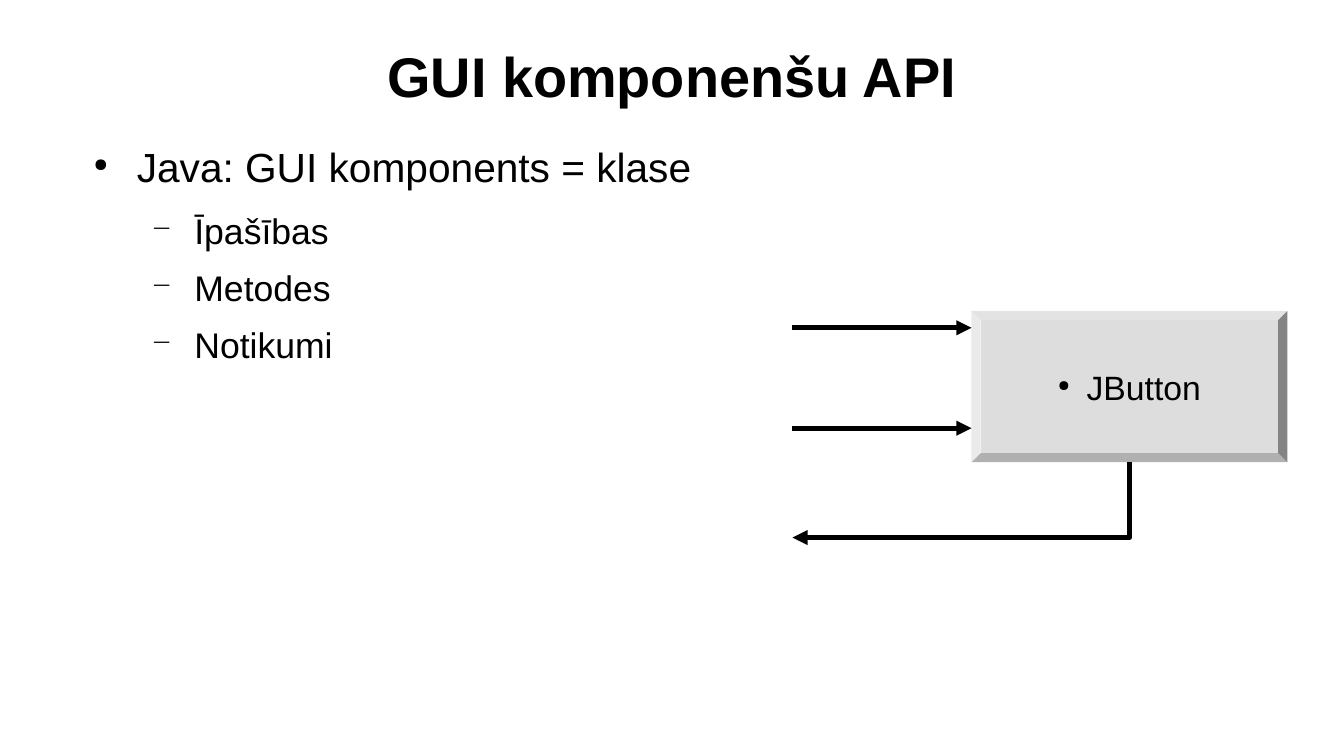
from dataclasses import dataclass

from lxml import etree
from pptx import Presentation
from pptx.dml.color import RGBColor
from pptx.enum.shapes import MSO_CONNECTOR, MSO_SHAPE
from pptx.enum.text import MSO_ANCHOR, PP_ALIGN
from pptx.oxml.ns import qn
from pptx.util import Cm, Pt

BEVEL = MSO_SHAPE.BEVEL
STRAIGHT = MSO_CONNECTOR.STRAIGHT
MIDDLE = MSO_ANCHOR.MIDDLE
CENTER = PP_ALIGN.CENTER


@dataclass(frozen=True)
class Theme:
    font: str = "Arial"
    ink: RGBColor = RGBColor(0, 0, 0)
    button: RGBColor = RGBColor(0xDD, 0xDD, 0xDD)
    title_size: float = 33
    topic_size: float = 24
    detail_size: float = 21
    button_size: float = 19.9
    line_width: float = 3


@dataclass(frozen=True)
class Box:
    left: float
    top: float
    width: float
    height: float

    def lengths(self):
        return Cm(self.left), Cm(self.top), Cm(self.width), Cm(self.height)


THEME = Theme()


def format_runs(paragraph, size, bold=False):
    for run in paragraph.runs:
        run.font.name = THEME.font
        run.font.size = Pt(size)
        run.font.bold = bold
        run.font.color.rgb = THEME.ink


def add_bullet(paragraph, character, percent, margin, hanging):
    properties = paragraph._p.get_or_add_pPr()
    properties.set("marL", str(Cm(margin)))
    properties.set("indent", str(-Cm(hanging)))
    color = etree.SubElement(properties, qn("a:buClr"))
    etree.SubElement(color, qn("a:srgbClr"), val=str(THEME.ink))
    etree.SubElement(properties, qn("a:buSzPct"), val=str(percent * 1000))
    etree.SubElement(properties, qn("a:buChar"), char=character)


def style_arrow(shape):
    shape.line.color.rgb = THEME.ink
    shape.line.width = Pt(THEME.line_width)
    etree.SubElement(shape.line._get_or_add_ln(), qn("a:tailEnd"), type="triangle")


def add_title(slide, box, text):
    text_frame = slide.shapes.add_textbox(*box.lengths()).text_frame
    text_frame.word_wrap = True
    text_frame.vertical_anchor = MIDDLE
    text_frame.text = text
    paragraph = text_frame.paragraphs[0]
    paragraph.alignment = CENTER
    format_runs(paragraph, THEME.title_size, bold=True)


def add_outline(slide, box, topic, details):
    text_frame = slide.shapes.add_textbox(*box.lengths()).text_frame
    text_frame.word_wrap = True
    text_frame.text = "\n".join([topic, *details])
    for index, paragraph in enumerate(text_frame.paragraphs):
        if index == 0:
            paragraph.space_after = Pt(10.6)
            add_bullet(paragraph, "●", 45, 1.2, 0.9)
            format_runs(paragraph, THEME.topic_size)
        else:
            paragraph.level = 1
            paragraph.space_after = Pt(8.5)
            add_bullet(paragraph, "−", 75, 2.4, 0.9)
            format_runs(paragraph, THEME.detail_size)


def add_button(slide, box, text):
    button = slide.shapes.add_shape(BEVEL, *box.lengths())
    button.adjustments[0] = 0.06
    button.shadow.inherit = False
    button.fill.solid()
    button.fill.fore_color.rgb = THEME.button
    button.line.fill.background()
    text_frame = button.text_frame
    text_frame.word_wrap = False
    text_frame.vertical_anchor = MIDDLE
    text_frame.text = text
    paragraph = text_frame.paragraphs[0]
    paragraph.alignment = CENTER
    add_bullet(paragraph, "●", 45, 0.6, 0.6)
    format_runs(paragraph, THEME.button_size)


def add_incoming_arrow(slide, start, end, height):
    arrow = slide.shapes.add_connector(
        STRAIGHT, Cm(start), Cm(height), Cm(end), Cm(height)
    )
    style_arrow(arrow)
    etree.SubElement(arrow._element.spPr, qn("a:effectLst"))


def add_outgoing_arrow(slide, points):
    start, *rest = [(Cm(x), Cm(y)) for x, y in points]
    builder = slide.shapes.build_freeform(*start)
    builder.add_line_segments(rest, close=False)
    arrow = builder.convert_to_shape()
    arrow.shadow.inherit = False
    arrow.fill.background()
    style_arrow(arrow)


def add_component_diagram(slide, box, text):
    button_width, button_height = 6.58, 3.15
    right, bottom = box.left + box.width, box.top + box.height
    button = Box(right - button_width, box.top, button_width, button_height)
    add_button(slide, button, text)
    for offset in (0.35, 2.44):
        add_incoming_arrow(slide, box.left, button.left, box.top + offset)
    middle = button.left + button_width / 2
    add_outgoing_arrow(
        slide,
        [(middle, box.top + button_height), (middle, bottom), (box.left, bottom)],
    )


def main():
    presentation = Presentation()
    presentation.slide_width = Cm(28)
    presentation.slide_height = Cm(15.75)
    slide = presentation.slides.add_slide(presentation.slide_layouts[6])
    add_title(slide, Box(1.4, 0.64, 25.2, 1.85), "GUI komponenšu API")
    add_outline(
        slide,
        Box(1.4, 2.84, 24.64, 12.19),
        "Java: GUI komponents = klase",
        ["Īpašības", "Metodes", "Notikumi"],
    )
    add_component_diagram(slide, Box(16.51, 6.48, 10.31, 4.72), "JButton")
    presentation.save("out.pptx")


if __name__ == "__main__":
    main()
